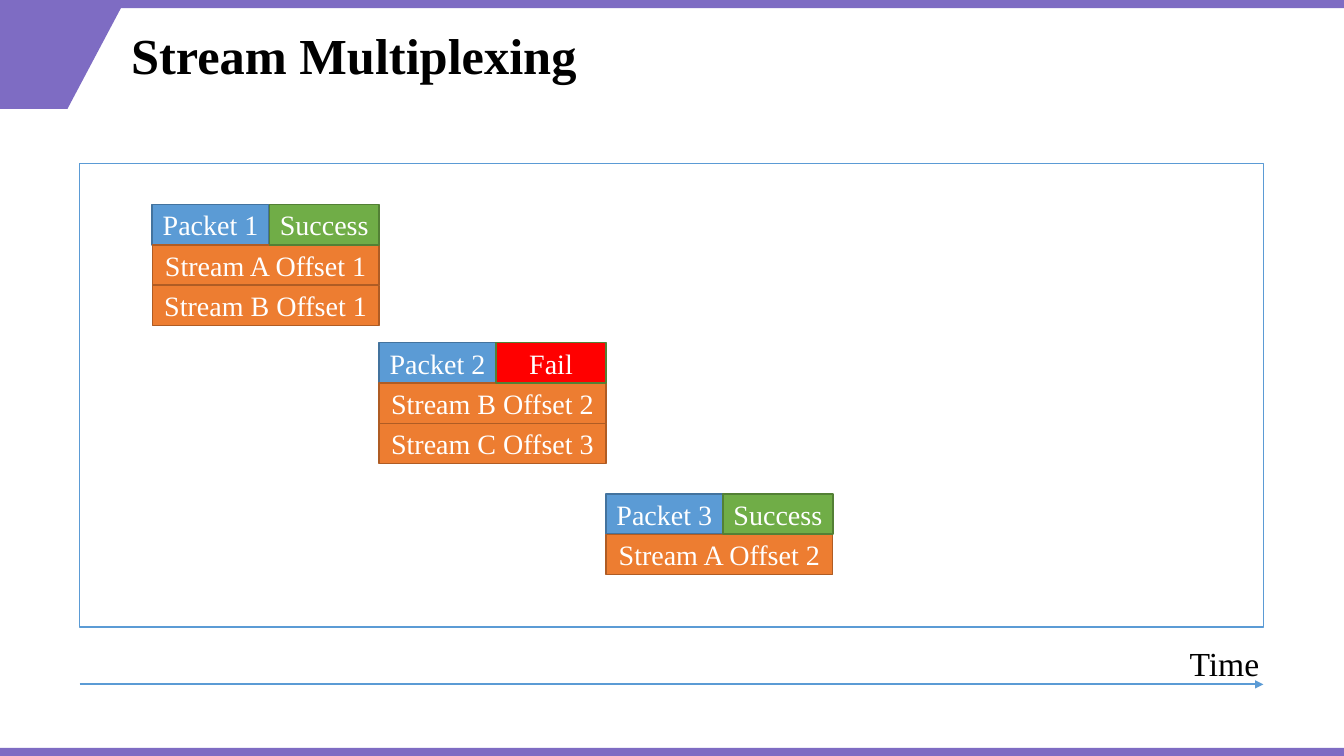
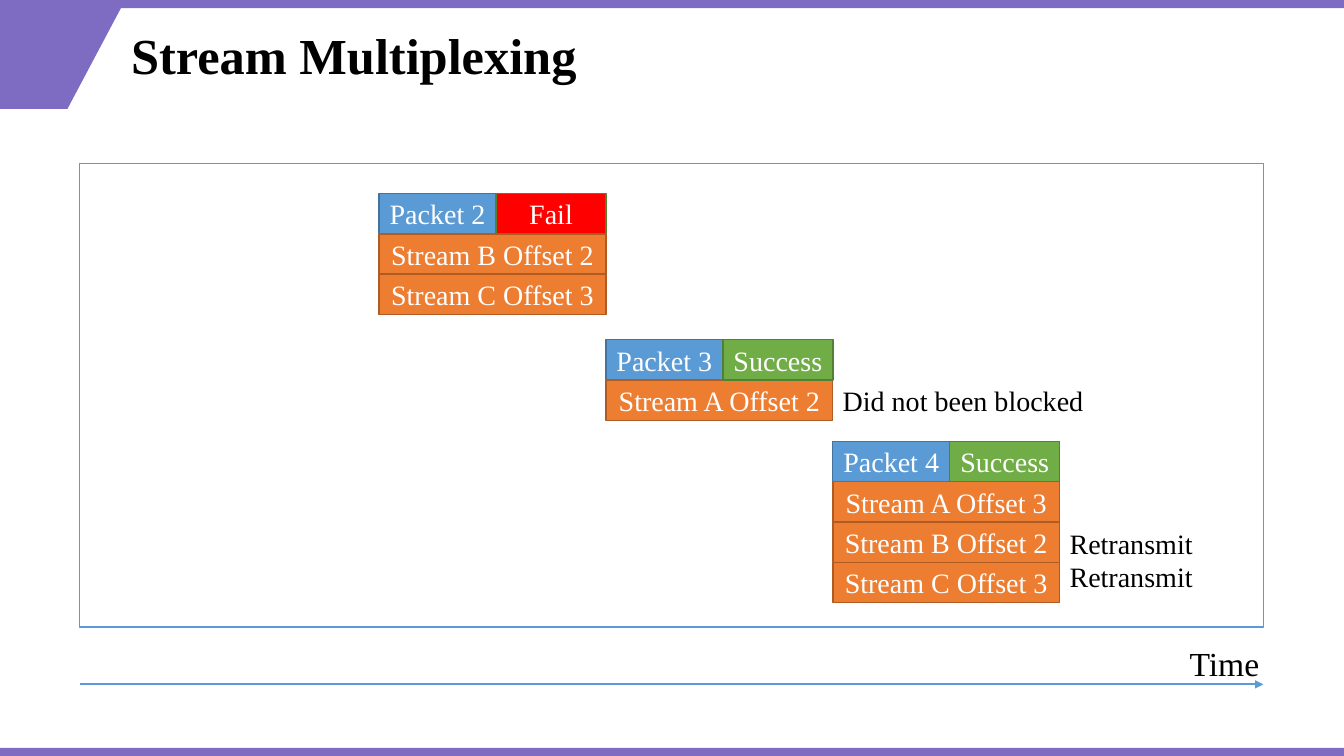
from lxml import etree
from pptx import Presentation
from pptx.dml.color import RGBColor
from pptx.enum import shapes, text
from pptx.oxml import ns
from pptx.util import Inches, Pt

# Shared style
FONT = "Times New Roman"
PURPLE = RGBColor(0x7E, 0x6C, 0xC3)
BLACK = RGBColor(0, 0, 0)
WHITE = RGBColor(0xFF, 0xFF, 0xFF)
BLUE = RGBColor(0x5B, 0x9B, 0xD5)
DARK_BLUE = RGBColor(0x43, 0x73, 0x9E)
ORANGE = RGBColor(0xED, 0x7D, 0x31)
DARK_ORANGE = RGBColor(0xAF, 0x5C, 0x24)
GREEN = RGBColor(0x70, 0xAD, 0x47)
DARK_GREEN = RGBColor(0x53, 0x80, 0x35)
RED = RGBColor(0xFF, 0, 0)
STATUS_FILL = {"Success": GREEN, "Fail": RED}

# Shared geometry, in inches
SLIDE_W, SLIDE_H = 13.33, 7.5
BAND_H = 0.08
PANEL_X, PANEL_W = 0.79, 11.74
FIRST_X = 1.51
PACKET_W, STATUS_W = 1.16, 1.09
BLOCK_W = PACKET_W + STATUS_W
ROW_H = 0.4


def column_x(number):
    """Left edge of a packet: each one starts where the previous ends."""
    return FIRST_X + (number - 1) * BLOCK_W


def write(tf, content, size=20, color=BLACK, bold=False,
          align=text.PP_ALIGN.LEFT, anchor=text.MSO_ANCHOR.TOP, wrap=True):
    tf.text = content
    tf.word_wrap = wrap
    tf.vertical_anchor = anchor
    for p in tf.paragraphs:
        p.alignment = align
        p.font.name = FONT
        p.font.size = Pt(size)
        p.font.bold = bold
        p.font.color.rgb = color


def add_rect(parent, x, y, w, h, fill, line=None, label=None):
    sp = parent.shapes.add_shape(shapes.MSO_SHAPE.RECTANGLE, Inches(x),
                                 Inches(y), Inches(w), Inches(h))
    sp.shadow.inherit = False
    sp.fill.solid()
    sp.fill.fore_color.rgb = fill
    if line is None:
        sp.line.fill.background()
    else:
        sp.line.color.rgb = line
        sp.line.width = Pt(1)
    if label:
        write(sp.text_frame, label, color=WHITE, wrap=False,
              align=text.PP_ALIGN.CENTER, anchor=text.MSO_ANCHOR.MIDDLE)


def add_label(parent, x, y, w, h, content, **style):
    box = parent.shapes.add_textbox(Inches(x), Inches(y), Inches(w), Inches(h))
    write(box.text_frame, content, **style)


def add_frame(s):
    """Corner shape with the top and bottom bands."""
    corner = s.shapes.build_freeform(0, Inches(BAND_H))
    corner.add_line_segments([(Inches(x), Inches(y)) for x, y in
                              ((1.2, 0.08), (0.67, 1.08), (0, 1.08))])
    sp = corner.convert_to_shape()
    sp.shadow.inherit = False
    sp.fill.solid()
    sp.fill.fore_color.rgb = PURPLE
    sp.line.fill.background()
    for y in (0, SLIDE_H - BAND_H):
        add_rect(s, 0, y, SLIDE_W, BAND_H, PURPLE)


def add_title(s, content):
    title = s.shapes.title
    title.left, title.top = Inches(1.2), Inches(0.08)
    title.width, title.height = Inches(11.22), Inches(1)
    write(title.text_frame, content, size=36, bold=True,
          anchor=text.MSO_ANCHOR.MIDDLE)
    title.text_frame.paragraphs[0].line_spacing = 0.9


def add_time_axis(s):
    axis = s.shapes.add_group_shape()
    y = Inches(6.79)
    arrow = axis.shapes.add_connector(
        shapes.MSO_CONNECTOR.STRAIGHT, Inches(PANEL_X), y,
        Inches(PANEL_X + PANEL_W), y)
    arrow.line.color.rgb = BLUE
    arrow.line.width = Pt(1.5)
    etree.SubElement(arrow.line._get_or_add_ln(), ns.qn("a:tailEnd"),
                     type="triangle")
    etree.SubElement(arrow._element.spPr, ns.qn("a:effectLst"))
    add_label(axis, 11.7, 6.33, 0.96, 0.5, "Time", size=24)


def add_packet(s, number, y, status, streams):
    """Packet header and status above one row per stream."""
    packet = s.shapes.add_group_shape()
    x = column_x(number)
    add_rect(packet, x, y, PACKET_W, ROW_H, BLUE, DARK_BLUE,
             f"Packet {number}")
    for row, (name, offset) in enumerate(streams, 1):
        add_rect(packet, x, y + row * ROW_H, BLOCK_W, ROW_H, ORANGE,
                 DARK_ORANGE, f"Stream {name} Offset {offset}")
    add_rect(packet, x + PACKET_W, y, STATUS_W, ROW_H, STATUS_FILL[status],
             DARK_GREEN, status)


def add_timeline_slide(prs, packets):
    s = prs.slides.add_slide(prs.slide_layouts.get_by_name("Title Only"))
    add_frame(s)
    add_title(s, "Stream Multiplexing")
    add_rect(s, PANEL_X, 1.62, PANEL_W, 4.6, WHITE, BLUE)
    add_time_axis(s)
    for packet in packets:
        add_packet(s, *packet)
    return s


def main():
    prs = Presentation()
    prs.slide_width, prs.slide_height = Inches(SLIDE_W), Inches(SLIDE_H)

    # Sending: packet 2 is lost
    lost_streams = [("B", 2), ("C", 3)]
    add_timeline_slide(prs, [
        (1, 2.03, "Success", [("A", 1), ("B", 1)]),
        (2, 3.4, "Fail", lost_streams),
        (3, 4.9, "Success", [("A", 2)]),
    ])

    # Recovery: packet 4 carries the lost streams again
    s = add_timeline_slide(prs, [
        (2, 1.92, "Fail", lost_streams),
        (3, 3.37, "Success", [("A", 2)]),
        (4, 4.38, "Success", [("A", 3)] + lost_streams),
    ])
    add_label(s, column_x(5), 5.17, 1.51, 0.77, "Retransmit\nRetransmit")
    add_label(s, column_x(4), 3.76, 2.96, 0.44, "Did not been blocked")

    prs.save("out.pptx")


if __name__ == "__main__":
    main()
